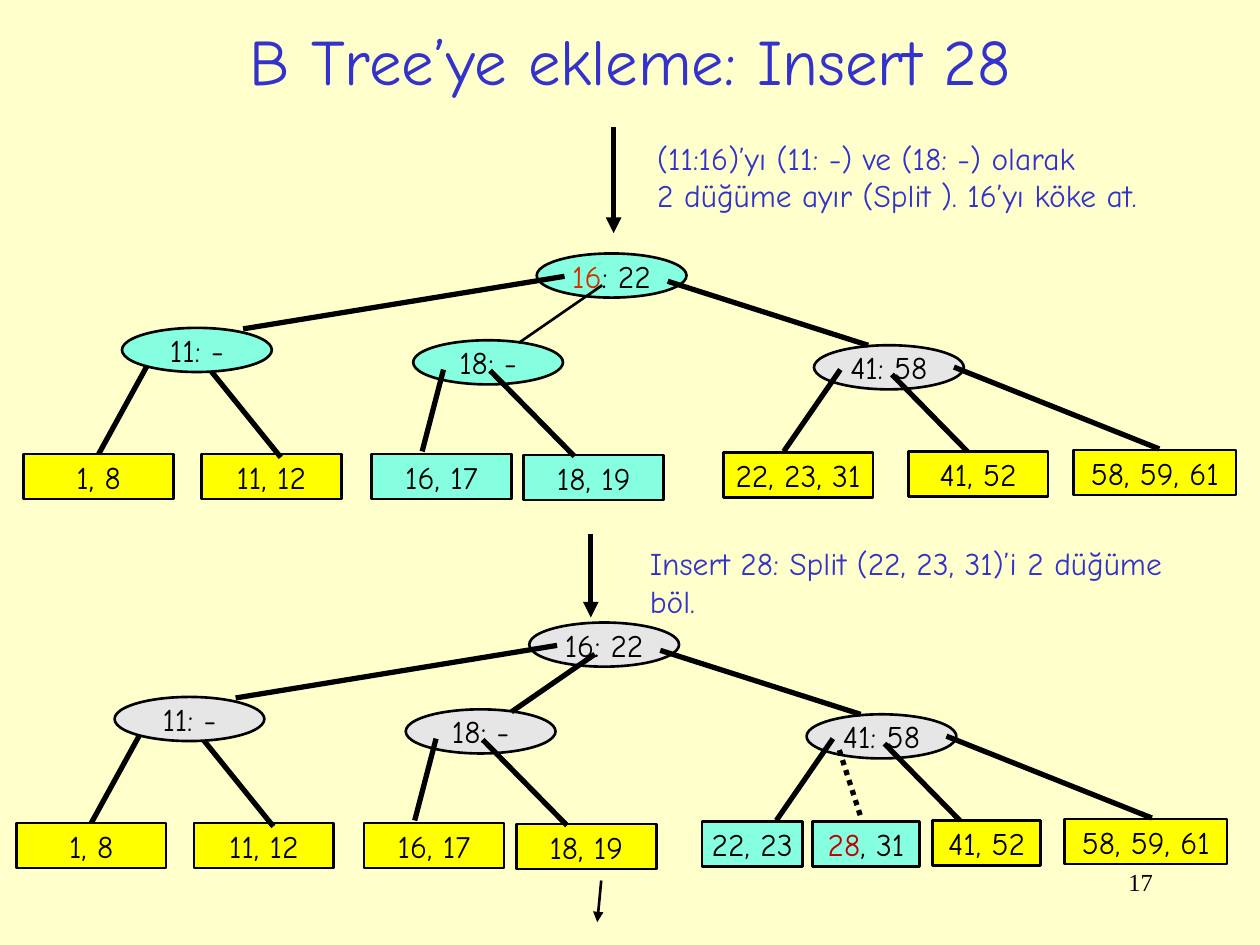
from lxml import etree
from pptx import Presentation
from pptx import util as u
from pptx.dml import color
from pptx.enum import dml, shapes, text
from pptx.oxml import ns

BLACK, BLUE, RED, DARK_RED = "000000", "3333CC", "CC3300", "C00000"
CREAM, MINT, GREY, YELLOW = "FFFFCC", "85FFE0", "E6E6E6", "FFFF00"
COMIC, TIMES = "Comic Neue", "Times New Roman"
NODE_WIDTH, NODE_HEIGHT, LEAF_HEIGHT = 3.02, 0.89, 0.91

INNER_NODES = {"18: -": (7.85, 1.75), "41: 58": (15.93, 1.85)}
LEFT_NODE = (1.98, 1.5)
LEFT_LEAVES = [("1, 8", 0, 4.04, 3.02), ("11, 12", 3.58, 4.04, 2.82),
               ("16, 17", 7.01, 4.04, 2.82), ("18, 19", 10.08, 4.06, 2.82)]
EDGES = [
    (10.9, 0.46, 4.42, 1.52), (12.98, 0.56, 17.02, 1.85),
    (3.58, 2.13, 5.18, 4.11),
    (8.46, 2.34, 8.03, 3.99), (9.4, 2.36, 11.1, 4.09),
    (16.46, 2.34, 15.32, 3.99), (17.5, 2.44, 19.02, 3.99), (18.75, 2.29, 22.89, 3.94),
]
MIDDLE_EDGE = (11.66, 0.64, 9.98, 1.8)
FIRST_LEAF_EDGE = (2.57, 2.11, 1.51, 4.04)
DOTTED_EDGE = (16.59, 2.57, 17.02, 3.91)


def rgb(value):
    return color.RGBColor.from_string(value)


def add_runs(paragraph, runs, size=18, font=COMIC):
    for content, run_color in runs:
        run = paragraph.add_run()
        run.text = content
        run.font.size = u.Pt(size)
        run.font.name = font
        run.font.color.rgb = rgb(run_color)


def add_node(slide, kind, box, runs, fill):
    shape = slide.shapes.add_shape(kind, *map(u.Cm, box))
    shape.shadow.inherit = False
    shape.fill.solid()
    shape.fill.fore_color.rgb = rgb(fill)
    shape.line.color.rgb = rgb(BLACK)
    shape.line.width = u.Pt(1.5)
    frame = shape.text_frame
    frame.word_wrap = False
    frame.vertical_anchor = text.MSO_ANCHOR.MIDDLE
    frame.paragraphs[0].alignment = text.PP_ALIGN.CENTER
    add_runs(frame.paragraphs[0], runs)
    return shape


def add_line(slide, ends, width=3, dotted=False, arrow=False):
    line = slide.shapes.add_connector(shapes.MSO_CONNECTOR.STRAIGHT, *map(u.Cm, ends))
    line.line.color.rgb = rgb(BLACK)
    line.line.width = u.Pt(width)
    if dotted:
        line.line.dash_style = dml.MSO_LINE.ROUND_DOT
    if arrow:
        outline = line.line._get_or_add_ln()
        etree.SubElement(outline, ns.qn("a:tailEnd"), type="triangle")
    etree.SubElement(line._element.spPr, ns.qn("a:effectLst"))
    return line


def add_text(slide, box, lines, size=18, font=COMIC, text_color=BLUE,
             alignment=text.PP_ALIGN.LEFT, wrap=False):
    frame = slide.shapes.add_textbox(*map(u.Cm, box)).text_frame
    frame.word_wrap = wrap
    for index, content in enumerate(lines):
        paragraph = frame.add_paragraph() if index else frame.paragraphs[0]
        paragraph.alignment = alignment
        add_runs(paragraph, [(content, text_color)], size, font)


def add_title(slide, box, content):
    title = slide.shapes.title
    title.left, title.top, title.width, title.height = map(u.Cm, box)
    frame = title.text_frame
    frame.word_wrap = True
    frame.vertical_anchor = text.MSO_ANCHOR.MIDDLE
    frame.paragraphs[0].alignment = text.PP_ALIGN.CENTER
    frame.paragraphs[0].line_spacing = 0.9
    add_runs(frame.paragraphs[0], [(content, BLUE)], 37)


def add_tree(slide, left, top, root_runs, node_fills, leaf_fills, right_leaves,
             middle_width=3, dotted_edge=None):
    def ellipse(position, runs, fill):
        x, y = position
        add_node(slide, shapes.MSO_SHAPE.OVAL,
                 (left + x, top + y, NODE_WIDTH, NODE_HEIGHT), runs, fill)

    def edge(ends, width=3, dotted=False):
        x1, y1, x2, y2 = ends
        return add_line(slide, (left + x1, top + y1, left + x2, top + y2), width, dotted)

    root_fill, left_fill, middle_fill, right_fill = node_fills
    ellipse((10.34, 0), root_runs, root_fill)
    for (label, position), fill in zip(INNER_NODES.items(), (middle_fill, right_fill)):
        ellipse(position, [(label, BLACK)], fill)

    leaves = [([(label, BLACK)], x, y, width, fill)
              for (label, x, y, width), fill in zip(LEFT_LEAVES, leaf_fills)]
    boxes = [add_node(slide, shapes.MSO_SHAPE.RECTANGLE,
                      (left + x, top + y, width, LEAF_HEIGHT), runs, fill)
             for runs, x, y, width, fill in leaves + right_leaves]

    for ends in EDGES:
        edge(ends)
    edge(MIDDLE_EDGE, middle_width)
    edge(FIRST_LEAF_EDGE).end_connect(boxes[0], 0)
    if dotted_edge:
        edge(dotted_edge, dotted=True)
    ellipse(LEFT_NODE, [("11: -", BLACK)], left_fill)


def main():
    presentation = Presentation()
    presentation.slide_width, presentation.slide_height = u.Cm(25.4), u.Cm(19.05)
    slide = presentation.slides.add_slide(presentation.slide_layouts[5])
    slide.background.fill.solid()
    slide.background.fill.fore_color.rgb = rgb(CREAM)

    add_title(slide, (1.91, 0.33, 21.59, 1.93), "B Tree’ye ekleme: Insert 28")
    add_text(slide, (18.21, 17.35, 5.28, 1.27), ["17"], 14, TIMES, BLACK,
             text.PP_ALIGN.RIGHT, wrap=True)

    add_tree(slide, 0.48, 5.11, [("16", RED), (": 22", BLACK)],
             (MINT, MINT, MINT, GREY), (YELLOW, YELLOW, MINT, MINT),
             [([("22, 23, 31", BLACK)], 14.1, 4.01, 3.02, YELLOW),
              ([("41, 52", BLACK)], 17.83, 3.99, 2.82, YELLOW),
              ([("58, 59, 61", BLACK)], 21.16, 3.96, 3.28, YELLOW)],
             middle_width=1.5)
    add_tree(slide, 0.33, 12.55, [("16: 22", BLACK)],
             (GREY,) * 4, (YELLOW,) * 4,
             [([("22, 23", BLACK)], 13.82, 4.01, 2.03, MINT),
              ([("28", DARK_RED), (", 31", BLACK)], 16.05, 4.01, 2.16, MINT),
              ([("41, 52", BLACK)], 18.47, 3.99, 2.18, YELLOW),
              ([("58, 59, 61", BLACK)], 21.13, 3.96, 3.28, YELLOW)],
             dotted_edge=DOTTED_EDGE)

    add_text(slide, (13, 2.67, 10.21, 1.78),
             ["(11:16)’yı (11: -) ve (18: -) olarak",
              "2 düğüme ayır (Split ). 16’yı köke at."])
    add_text(slide, (12.85, 10.85, 11.94, 1.02),
             ["Insert 28: Split (22, 23, 31)’i 2 düğüme böl."])
    add_line(slide, (12.37, 2.57, 12.37, 4.7), arrow=True)
    add_line(slide, (11.91, 10.77, 11.91, 12.45), arrow=True)
    add_line(slide, (12.12, 17.75, 12.04, 18.59), 1.5, arrow=True)
    presentation.save("out.pptx")


if __name__ == "__main__":
    main()
